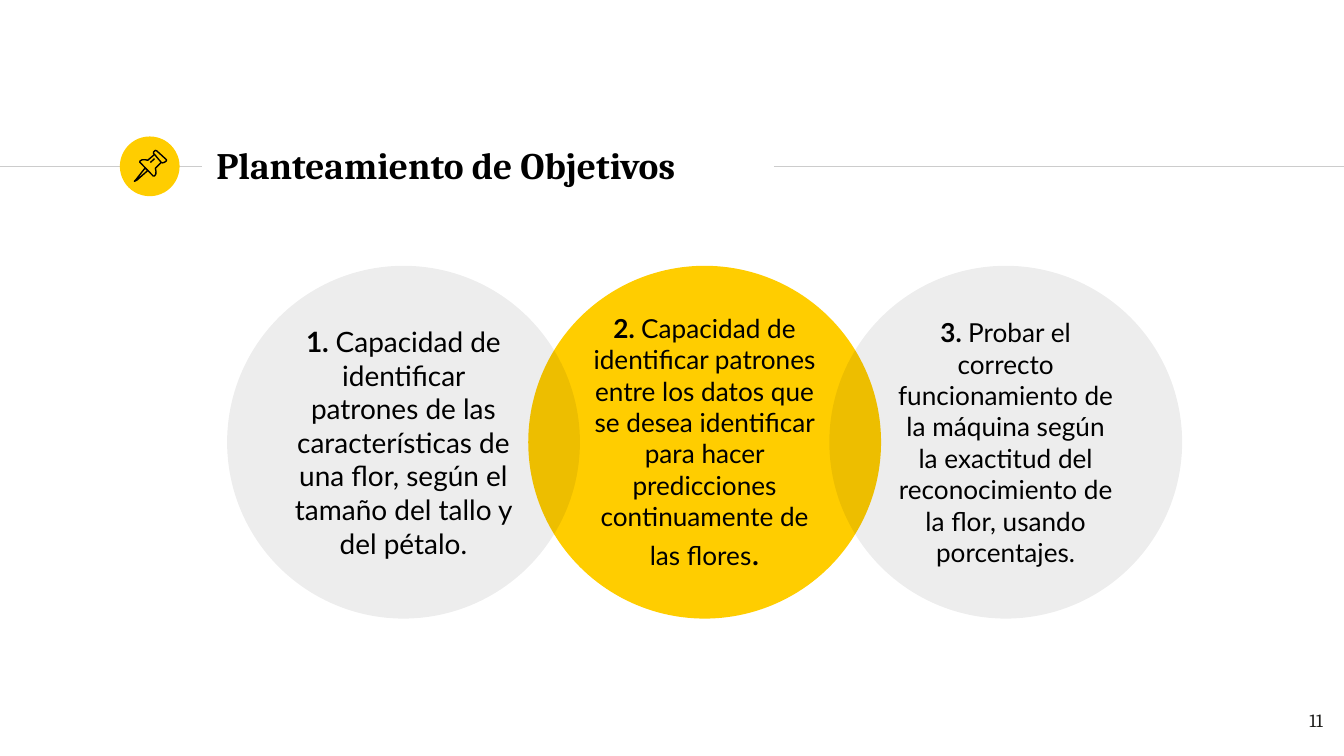
from lxml import etree
from pptx import Presentation
from pptx.dml.color import RGBColor
from pptx.enum import shapes, text
from pptx.oxml import ns
from pptx.util import Pt

YELLOW = RGBColor(0xFF, 0xCD, 0x00)
BLACK = RGBColor(0x00, 0x00, 0x00)
RULE_GREY = RGBColor(0xCC, 0xCC, 0xCC)
NUMBER_INK = RGBColor(0x1D, 0x1D, 0x1B)
SERIF, SANS = "Cambria", "Lato"


class Board:
    line_width = Pt(0.75)
    inset = Pt(7.2)

    def __init__(self, slide):
        self.shapes = slide.shapes

    def rule(self, start, end, y):
        line = self.shapes.add_connector(
            shapes.MSO_CONNECTOR.STRAIGHT, Pt(start), Pt(y), Pt(end), Pt(y))
        line.line.color.rgb = RULE_GREY
        line.line.width = self.line_width
        etree.SubElement(line._element.spPr, ns.qn("a:effectLst"))

    def circle(self, left, top, size, color, opacity=None):
        disc = self.shapes.add_shape(
            shapes.MSO_SHAPE.OVAL, Pt(left), Pt(top), Pt(size), Pt(size))
        disc.shadow.inherit = False
        disc.fill.solid()
        disc.fill.fore_color.rgb = color
        disc.line.fill.background()
        if opacity is not None:
            tint = disc._element.spPr.find(".//" + ns.qn("a:srgbClr"))
            etree.SubElement(tint, ns.qn("a:alpha"), val=str(opacity * 1000))
        return disc

    def add_runs(self, shape, runs, font, align, anchor, color=BLACK):
        frame = shape.text_frame
        frame.word_wrap = True
        frame.vertical_anchor = anchor
        frame.margin_left = frame.margin_right = self.inset
        frame.margin_top = frame.margin_bottom = self.inset
        paragraph = frame.paragraphs[0]
        paragraph.alignment = align
        for words, size, bold in runs:
            run = paragraph.add_run()
            run.text = words
            run.font.name = font
            run.font.size = Pt(size)
            run.font.bold = bold
            run.font.color.rgb = color

    def label(self, left, top, width, height, *style):
        box = self.shapes.add_textbox(Pt(left), Pt(top), Pt(width), Pt(height))
        self.add_runs(box, *style)

    def outline(self, points, close):
        first, *rest = [(Pt(x), Pt(y)) for x, y in points]
        builder = self.shapes.build_freeform(*first)
        builder.add_line_segments(rest, close=close)
        stroke = builder.convert_to_shape()
        stroke.shadow.inherit = False
        stroke.fill.background()
        stroke.line.color.rgb = BLACK
        stroke.line.width = self.line_width


PIN = [
    ([(77.8, 90), (72.7, 96.5), (72, 97.2), (73.4, 96.5), (79.2, 91.4)], True),
    ([(82.8, 82.8), (86.4, 87.1), (87.1, 87.3), (88.2, 87), (89.1, 86.2),
      (89.2, 85.6), (83.9, 80.8), (83.2, 80.6), (82.2, 81.6), (82.2, 82.3)], True),
    ([(82.8, 82.8), (79.2, 85.9), (77.8, 85.6), (76.3, 85.6), (75.1, 86.2),
      (74.9, 86.9), (82.1, 94.3), (82.8, 94.3), (83.5, 93.4), (83.6, 92),
      (83.3, 90.2), (86.4, 87.1)], False),
    ([(80.6, 87.1), (82.8, 85)], False),
]

GOALS = [
    (1, YELLOW, None, [
        ("2. ", 14, True),
        ("Capacidad de identificar patrones entre los datos que se desea "
         "identificar para hacer predicciones continuamente de las flores", 14, False),
        (".", 18, False)]),
    (0, BLACK, 7, [
        ("1. ", 15, True),
        ("Capacidad de identificar patrones de las características de una flor, "
         "según el tamaño del tallo y del pétalo.", 15, False)]),
    (2, BLACK, 7, [
        ("3. ", 14, True),
        ("Probar el correcto funcionamiento de la máquina según la exactitud del "
         "reconocimiento de la flor, usando porcentajes.", 14, False)]),
]


def main():
    deck = Presentation()
    deck.slide_width, deck.slide_height = Pt(720), Pt(405)
    board = Board(deck.slides.add_slide(deck.slide_layouts[6]))
    align, anchor = text.PP_ALIGN, text.MSO_ANCHOR

    board.rule(0, 108.2, 89.2)
    board.circle(64.2, 73.1, 32, YELLOW)
    board.rule(414.6, 720, 89.2)
    board.label(108.8, 70.6, 305.4, 34.6, [("Planteamiento de Objetivos", 20, True)],
                SERIF, align.LEFT, anchor.MIDDLE)

    for column, color, opacity, runs in GOALS:
        goal = board.circle(121.7 + 161.3 * column, 142.4, 189, color, opacity)
        board.add_runs(goal, runs, SANS, align.CENTER, anchor.MIDDLE)

    for points, close in PIN:
        board.outline(points, close)

    board.label(672.5, 373.7, 43.2, 31, [("11", 10, False)],
                SERIF, align.RIGHT, anchor.TOP, NUMBER_INK)
    deck.save("out.pptx")


if __name__ == "__main__":
    main()
